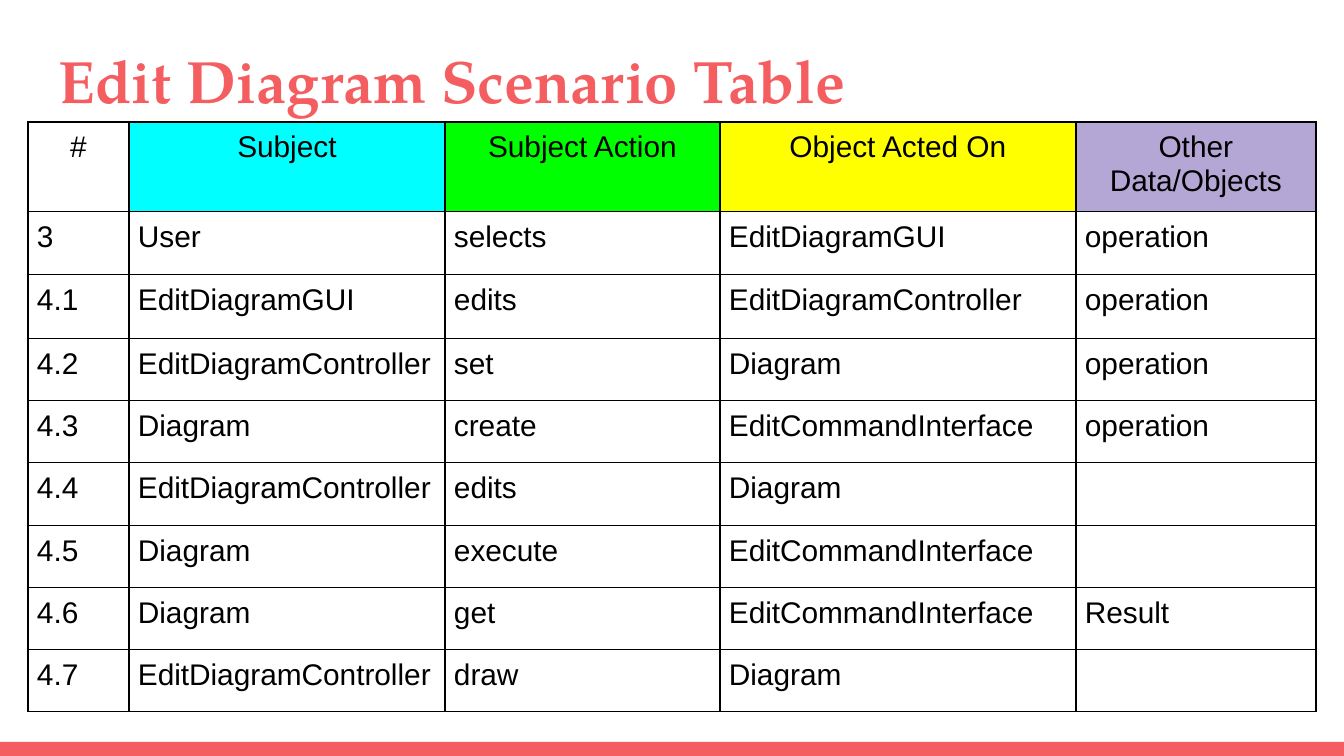
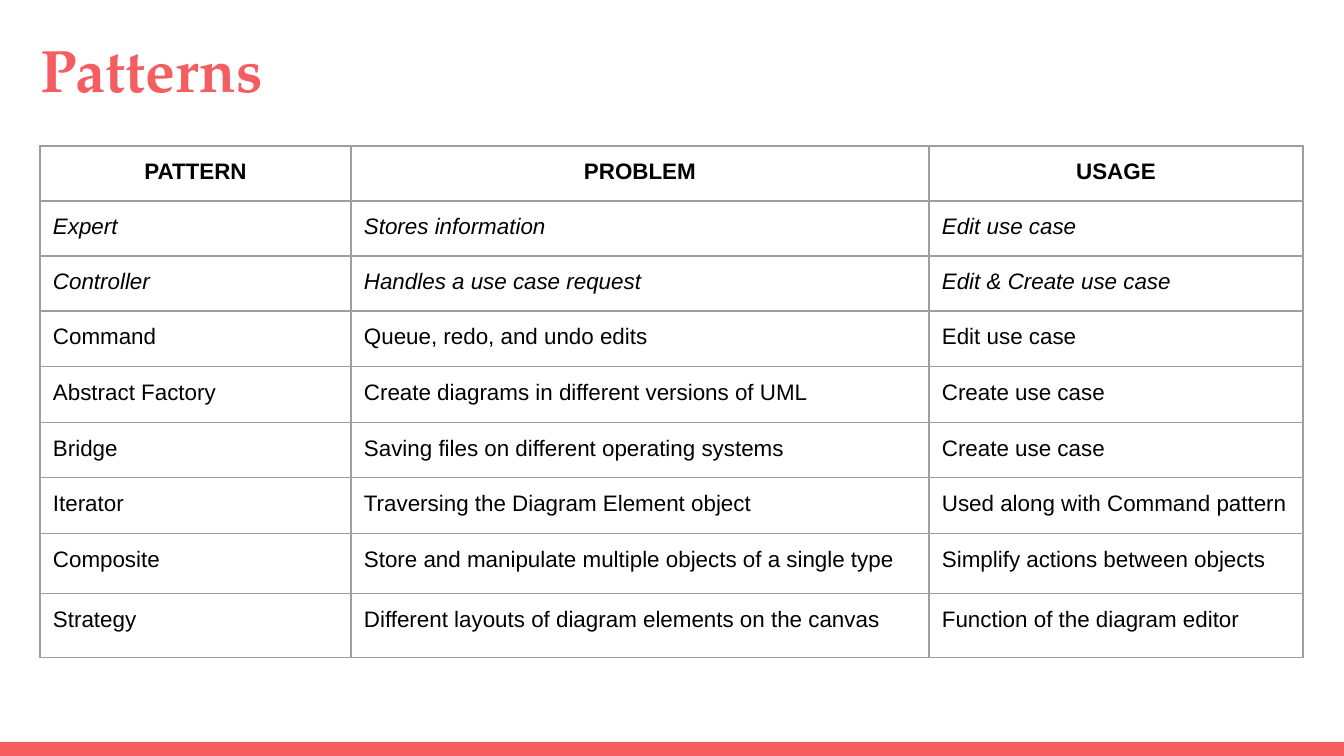
"""Build two slides, each with a title and a table, on a shared look."""
from dataclasses import dataclass

from lxml.etree import SubElement
from pptx import Presentation
from pptx.dml.color import RGBColor as RGB
from pptx.enum.shapes import MSO_SHAPE as SHAPE
from pptx.enum.text import MSO_ANCHOR as ANCHOR, PP_ALIGN as ALIGN
from pptx.oxml.ns import qn
from pptx.util import Emu, Inches, Pt

WIDTH, HEIGHT = 1344, 756
SCALE = Inches(10) / WIDTH


@dataclass(frozen=True)
class Theme:
    accent: str = "F55E61"
    text: str = "000000"
    grid: str = "9E9E9E"
    subject: str = "00FFFF"
    action: str = "00FF00"
    acted_on: str = "FFFF00"
    other: str = "B4A7D6"
    title_font: str = "TeX Gyre Pagella"
    body_font: str = "Arial"
    title_size: int = 32
    scenario_size: int = 16
    patterns_size: int = 12


@dataclass(frozen=True)
class TableStyle:
    size: int
    inset: int
    border: str
    border_pt: float
    header_bold: bool = False
    header_fills: tuple = ()
    italic_rows: tuple = ()


THEME = Theme()

SCENARIO = [
    ("#", "Subject", "Subject Action", "Object Acted On", "Other Data/Objects"),
    ("3", "User", "selects", "EditDiagramGUI", "operation"),
    ("4.1", "EditDiagramGUI", "edits", "EditDiagramController", "operation"),
    ("4.2", "EditDiagramController", "set", "Diagram", "operation"),
    ("4.3", "Diagram", "create", "EditCommandInterface", "operation"),
    ("4.4", "EditDiagramController", "edits", "Diagram", ""),
    ("4.5", "Diagram", "execute", "EditCommandInterface", ""),
    ("4.6", "Diagram", "get", "EditCommandInterface", "Result"),
    ("4.7", "EditDiagramController", "draw", "Diagram", ""),
]

PATTERNS = [
    ("PATTERN", "PROBLEM", "USAGE"),
    ("Expert", "Stores information", "Edit use case"),
    ("Controller", "Handles a use case request", "Edit & Create use case"),
    ("Command", "Queue, redo, and undo edits", "Edit use case"),
    ("Abstract Factory", "Create diagrams in different versions of UML",
     "Create use case"),
    ("Bridge", "Saving files on different operating systems",
     "Create use case"),
    ("Iterator", "Traversing the Diagram Element object",
     "Used along with Command pattern"),
    ("Composite", "Store and manipulate multiple objects of a single type",
     "Simplify actions between objects"),
    ("Strategy", "Different layouts of diagram elements on the canvas",
     "Function of the diagram editor"),
]


def px(n):
    return Emu(round(n * SCALE))


def add_run(p, text, font, size, color, bold=False, italic=False):
    r = p.add_run()
    r.text = text
    r.font.name = font
    r.font.size = Pt(size)
    r.font.bold = bold
    r.font.italic = italic
    r.font.color.rgb = RGB.from_string(color)


def set_insets(tf, inset):
    tf.margin_left = tf.margin_right = px(inset)
    tf.margin_top = tf.margin_bottom = px(inset)


def add_band(s):
    top = 742
    sp = s.shapes.add_shape(SHAPE.RECTANGLE, 0, px(top), px(WIDTH),
                            px(HEIGHT - top))
    sp.shadow.inherit = False
    sp.fill.solid()
    sp.fill.fore_color.rgb = RGB.from_string(THEME.accent)
    sp.line.fill.background()


def add_title(s, text, left, top):
    tf = s.shapes.add_textbox(px(left), px(top), px(1253), px(91)).text_frame
    tf.word_wrap = True
    tf.vertical_anchor = ANCHOR.TOP
    set_insets(tf, 13)
    add_run(tf.paragraphs[0], text, THEME.title_font, THEME.title_size,
            THEME.accent, bold=True)


def add_borders(cell, color, width):
    tc_pr = cell._tc.get_or_add_tcPr()
    for i, side in enumerate(("lnL", "lnR", "lnT", "lnB")):
        ln = SubElement(tc_pr, qn(f"a:{side}"), w=str(Pt(width)))
        fill = SubElement(ln, qn("a:solidFill"))
        SubElement(fill, qn("a:srgbClr"), val=color)
        tc_pr.insert(i, ln)


def fill_cell(cell, text, row, col, style):
    header = row == 0
    set_insets(cell, style.inset)
    cell.vertical_anchor = ANCHOR.TOP
    color = style.header_fills[col] if header and style.header_fills else None
    if color:
        cell.fill.solid()
        cell.fill.fore_color.rgb = RGB.from_string(color)
    else:
        cell.fill.background()
    add_borders(cell, style.border, style.border_pt)
    if text:
        p = cell.text_frame.paragraphs[0]
        p.alignment = ALIGN.CENTER if header else ALIGN.LEFT
        add_run(p, text, THEME.body_font, style.size, THEME.text,
                bold=header and style.header_bold,
                italic=row in style.italic_rows)


def add_grid(s, data, left, top, widths, heights, style):
    table = s.shapes.add_table(len(data), len(widths), px(left), px(top),
                               px(sum(widths)), px(sum(heights))).table
    table.first_row = table.horz_banding = False
    for column, width in zip(table.columns, widths):
        column.width = px(width)
    for row, height in zip(table.rows, heights):
        row.height = px(height)
    for i, values in enumerate(data):
        for j, text in enumerate(values):
            fill_cell(table.cell(i, j), text, i, j, style)


def add_slide(prs, title, left, top):
    s = prs.slides.add_slide(prs.slide_layouts[6])
    add_band(s)
    add_title(s, title, left, top)
    return s


def main():
    prs = Presentation()
    prs.slide_width, prs.slide_height = px(WIDTH), px(HEIGHT)

    s = add_slide(prs, "Edit Diagram Scenario Table", 46, 31)
    fills = (None, THEME.subject, THEME.action, THEME.acted_on, THEME.other)
    add_grid(s, SCENARIO, 28, 122, (101, 316, 275, 356, 240),
             (62, 63, 64, 62, 62, 63, 62, 62, 62),
             TableStyle(THEME.scenario_size, 9, THEME.text, 1,
                        header_fills=fills))

    s = add_slide(prs, "Patterns", 28, 20)
    add_grid(s, PATTERNS, 40, 146, (311, 578, 374),
             (55, 55, 55, 56, 56, 55, 56, 60, 64),
             TableStyle(THEME.patterns_size, 13, THEME.grid, 0.75,
                        header_bold=True, italic_rows=(1, 2)))

    prs.save("out.pptx")


if __name__ == "__main__":
    main()
